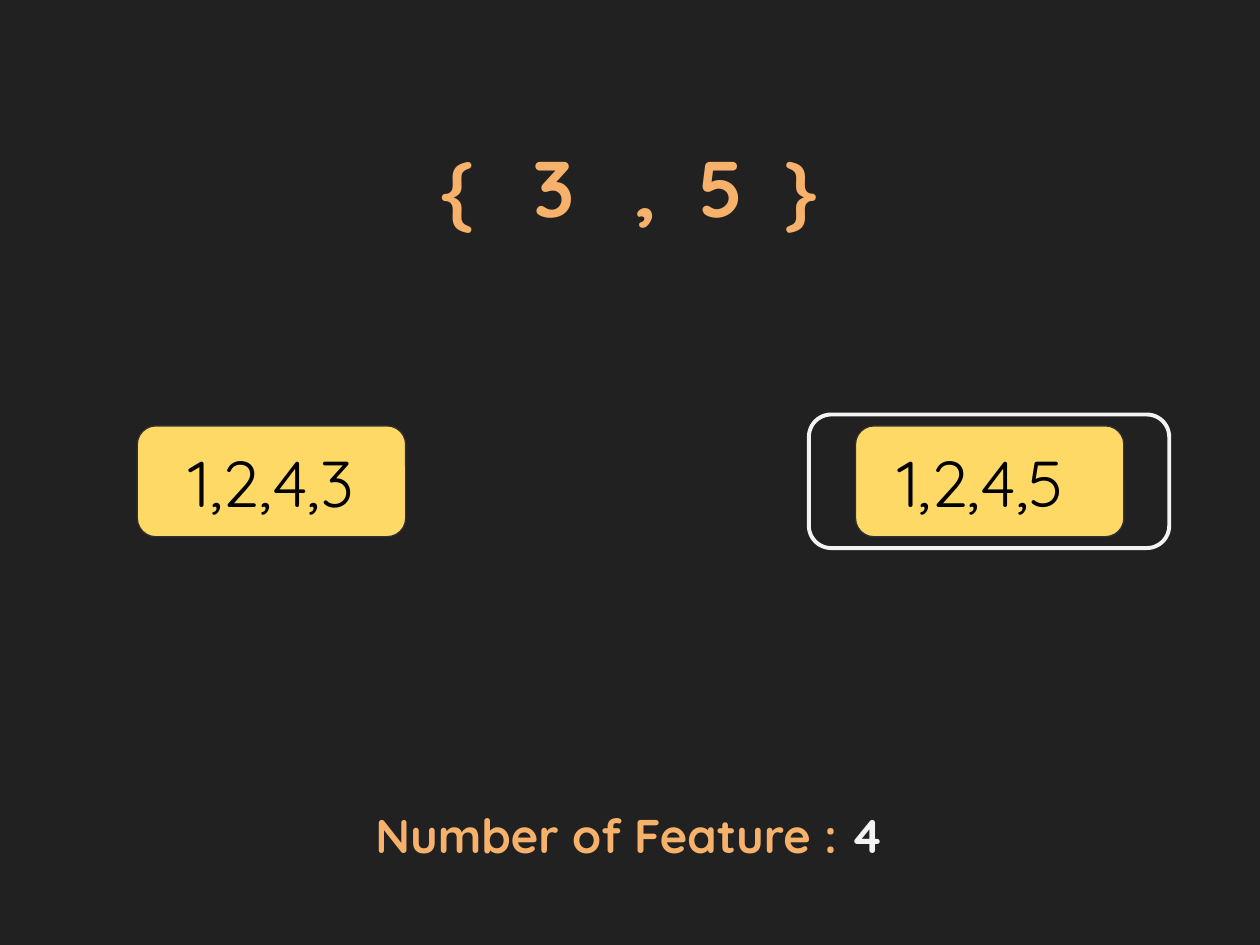
"""Build the feature subset slide with its two candidate sets."""
from dataclasses import dataclass

from pptx import Presentation
from pptx.dml.color import RGBColor
from pptx.enum import shapes, text
from pptx.util import Inches, Pt

FONT = "Quicksand"
BACKGROUND, ORANGE, YELLOW = "212121", "F6B26B", "FFD966"
BLACK, WHITE, EDGE = "000000", "F3F3F3", "303030"


@dataclass(frozen=True)
class Box:
    left: float
    top: float
    width: float
    height: float

    def lengths(self) -> tuple:
        return tuple(map(Inches, (self.left, self.top, self.width, self.height)))


@dataclass(frozen=True)
class Candidate:
    label: str
    left: float


CANDIDATES = (Candidate("1,2,4,3", 1.09), Candidate("1,2,4,5 ", 6.79))
SELECTION = Box(6.42, 3.29, 2.86, 1.06)
TITLE = Box(0.77, 1, 8.45, 1.16)
CAPTION = Box(0.77, 6.3, 8.45, 0.63)
SYMBOL_GAPS = (("{", 22), ("3", 22), (",", 11), ("5", 11))


def color(value: str) -> RGBColor:
    return RGBColor.from_string(value)


def prepare_frame(frame, anchor=text.MSO_ANCHOR.TOP):
    frame.word_wrap = True
    frame.auto_size = text.MSO_AUTO_SIZE.NONE
    frame.vertical_anchor = anchor
    frame.margin_left = frame.margin_right = Inches(0.1)
    frame.margin_top = frame.margin_bottom = Inches(0.1)
    paragraph = frame.paragraphs[0]
    paragraph.alignment = text.PP_ALIGN.CENTER
    paragraph.line_spacing = 1.0
    paragraph.space_before = Pt(0)
    return paragraph


def add_text(paragraph, content: str, *, size: float, fill: str = ORANGE,
             bold: bool = True, spacing: float = 0) -> None:
    run = paragraph.add_run()
    run.text = content
    run.font.name = FONT
    run.font.size = Pt(size)
    run.font.bold = bold
    run.font.color.rgb = color(fill)
    if spacing:
        run.font._element.set("spc", str(int(spacing * 100)))


def add_rounded_box(slide, box: Box, *, line: str, width: float, fill: str = ""):
    shape = slide.shapes.add_shape(shapes.MSO_SHAPE.ROUNDED_RECTANGLE, *box.lengths())
    shape.adjustments[0] = 0.167
    shape.shadow.inherit = False
    if fill:
        shape.fill.solid()
        shape.fill.fore_color.rgb = color(fill)
    else:
        shape.fill.background()
    shape.line.color.rgb = color(line)
    shape.line.width = Pt(width)
    return shape


def add_title(slide) -> None:
    title = slide.shapes.title
    title.left, title.top, title.width, title.height = TITLE.lengths()
    paragraph = prepare_frame(title.text_frame)
    for symbol, gap in SYMBOL_GAPS:
        add_text(paragraph, symbol, size=45)
        add_text(paragraph, " ", size=45, spacing=gap)
    add_text(paragraph, "}", size=45)


def add_candidate(slide, candidate: Candidate) -> None:
    box = Box(candidate.left, 3.38, 2.13, 0.88)
    shape = add_rounded_box(slide, box, line=EDGE, width=0.75, fill=YELLOW)
    paragraph = prepare_frame(shape.text_frame, text.MSO_ANCHOR.MIDDLE)
    add_text(paragraph, candidate.label, size=37, fill=BLACK, bold=False)


def add_caption(slide) -> None:
    caption = slide.shapes.add_textbox(*CAPTION.lengths())
    paragraph = prepare_frame(caption.text_frame)
    add_text(paragraph, "Number of Feature : ", size=27)
    add_text(paragraph, "4", size=27, fill=WHITE)


def main() -> None:
    presentation = Presentation()
    presentation.slide_width, presentation.slide_height = Inches(10), Inches(7.5)
    slide = presentation.slides.add_slide(presentation.slide_layouts[5])
    slide.background.fill.solid()
    slide.background.fill.fore_color.rgb = color(BACKGROUND)
    add_title(slide)
    for candidate in CANDIDATES:
        add_candidate(slide, candidate)
    add_caption(slide)
    add_rounded_box(slide, SELECTION, line=WHITE, width=2.25)
    presentation.save("out.pptx")


if __name__ == "__main__":
    main()
